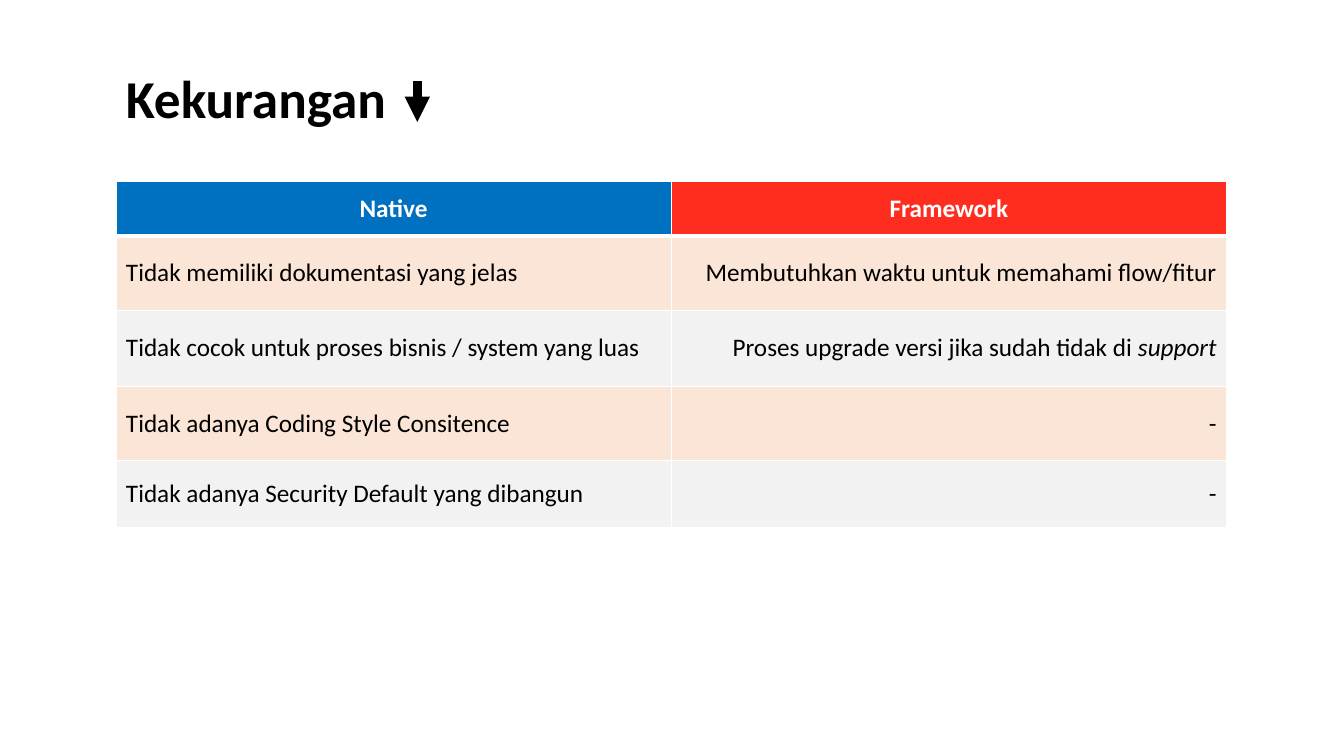
from pptx import Presentation
from pptx.dml.color import RGBColor as RGB
from pptx.enum.shapes import MSO_CONNECTOR as Link
from pptx.enum.text import MSO_ANCHOR as Anchor, MSO_AUTO_SIZE as Fit, PP_ALIGN as Align
from pptx.oxml.ns import qn
from pptx.util import Pt
from lxml.etree import SubElement as Sub

HUES = {
    "ink": "000000",
    "white": "FFFFFF",
    "blue": "0070C0",
    "red": "FF2D20",
    "peach": "FBE5D6",
    "gray": "F2F2F2",
}
TITLE = {"size": Pt(38), "bold": True}
HEAD = {"size": Pt(18), "bold": True}
BODY = {"size": Pt(18), "bold": False}
LEFT, WIDTH = 82.8, 793.44


class Deck:
    def __init__(self, width, height, font):
        self.font = font
        self.file = Presentation()
        self.file.slide_width, self.file.slide_height = Pt(width), Pt(height)
        self.slide = self.file.slides.add_slide(self.file.slide_layouts[6])

    def label(self, para, text, style, hue):
        run = para.add_run()
        run.text = text
        for key, value in {"name": self.font, **style}.items():
            setattr(run.font, key, value)
        run.font.color.rgb = RGB.from_string(HUES[hue])

    def text(self, box, text, style, hue):
        frame = self.slide.shapes.add_textbox(*map(Pt, box)).text_frame
        frame.word_wrap = True
        frame.auto_size = Fit.SHAPE_TO_FIT_TEXT
        self.label(frame.paragraphs[0], text, style, hue)

    def table(self, box, heights, cols):
        grid = self.slide.shapes.add_table(len(heights), len(cols), *map(Pt, box)).table
        for row, height in zip(grid.rows, heights):
            row.height = Pt(height)
        for c, (head, fill, align, items) in enumerate(cols):
            self.cell(grid.cell(0, c), [head], HEAD, "white", fill, Align.CENTER, {"B": 3})
            for r, parts in enumerate(items, 1):
                band = "peach" if r % 2 else "gray"
                edge = {"T": 3} if r == 1 else {}
                self.cell(grid.cell(r, c), parts, BODY, "ink", band, align, edge)

    def cell(self, cell, parts, style, hue, fill, align, edge):
        cell.vertical_anchor = Anchor.MIDDLE
        para = cell.text_frame.paragraphs[0]
        para.alignment = align
        for i, part in enumerate(parts):
            self.label(para, part, {**style, "italic": i > 0}, hue)
        props = cell._tc.get_or_add_tcPr()
        for side in "LRTB":
            line = Sub(props, qn(f"a:ln{side}"), w=str(Pt(edge.get(side, 1))))
            Sub(Sub(line, qn("a:solidFill")), qn("a:srgbClr"), val=HUES["white"])
        cell.fill.solid()
        cell.fill.fore_color.rgb = RGB.from_string(HUES[fill])

    def arrow(self, start, end, width, hue):
        link = self.slide.shapes.add_connector(Link.STRAIGHT, *map(Pt, start + end))
        link.line.width = Pt(width)
        link.line.color.rgb = RGB.from_string(HUES[hue])
        props = link._element.spPr
        Sub(props.find(qn("a:ln")), qn("a:tailEnd"), type="triangle")
        Sub(props, qn("a:effectLst"))


def main():
    deck = Deck(960, 540, "Calibri")
    deck.text((LEFT, 43.2, WIDTH, 53.28), "Kekurangan", TITLE, "ink")
    heights = [38.9, 53.3, 54, 53.3, 47.5]
    native = [
        ["Tidak memiliki dokumentasi yang jelas"],
        ["Tidak cocok untuk proses bisnis / system yang luas"],
        ["Tidak adanya Coding Style Consitence"],
        ["Tidak adanya Security Default yang dibangun"],
    ]
    frame = [
        ["Membutuhkan waktu untuk memahami flow/fitur"],
        ["Proses upgrade versi jika sudah tidak di ", "support"],
        ["-"],
        ["-"],
    ]
    deck.table((LEFT, 129.6, WIDTH, sum(heights)), heights, [
        ("Native", "blue", Align.LEFT, native),
        ("Framework", "red", Align.RIGHT, frame),
    ])
    deck.arrow((298.1, 57.6), (298.1, 87.1), 6, "ink")
    deck.file.save("out.pptx")


if __name__ == "__main__":
    main()
